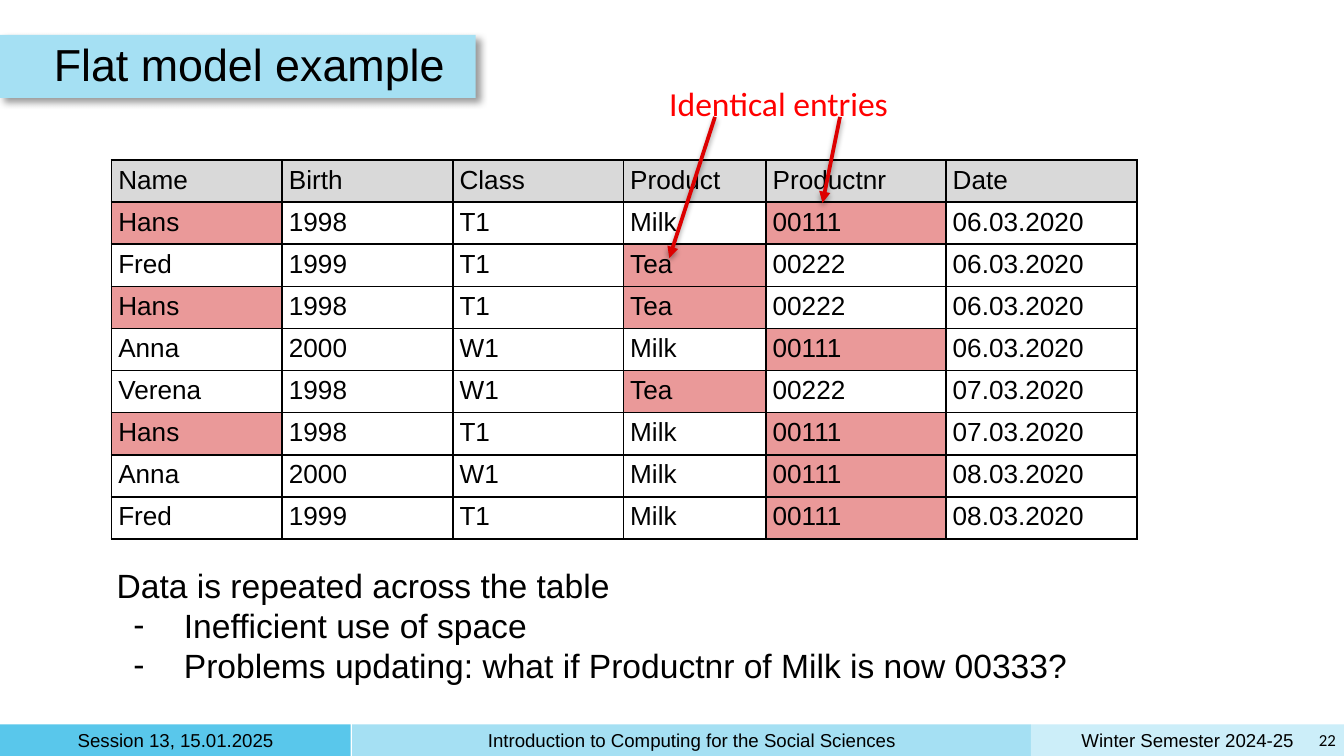
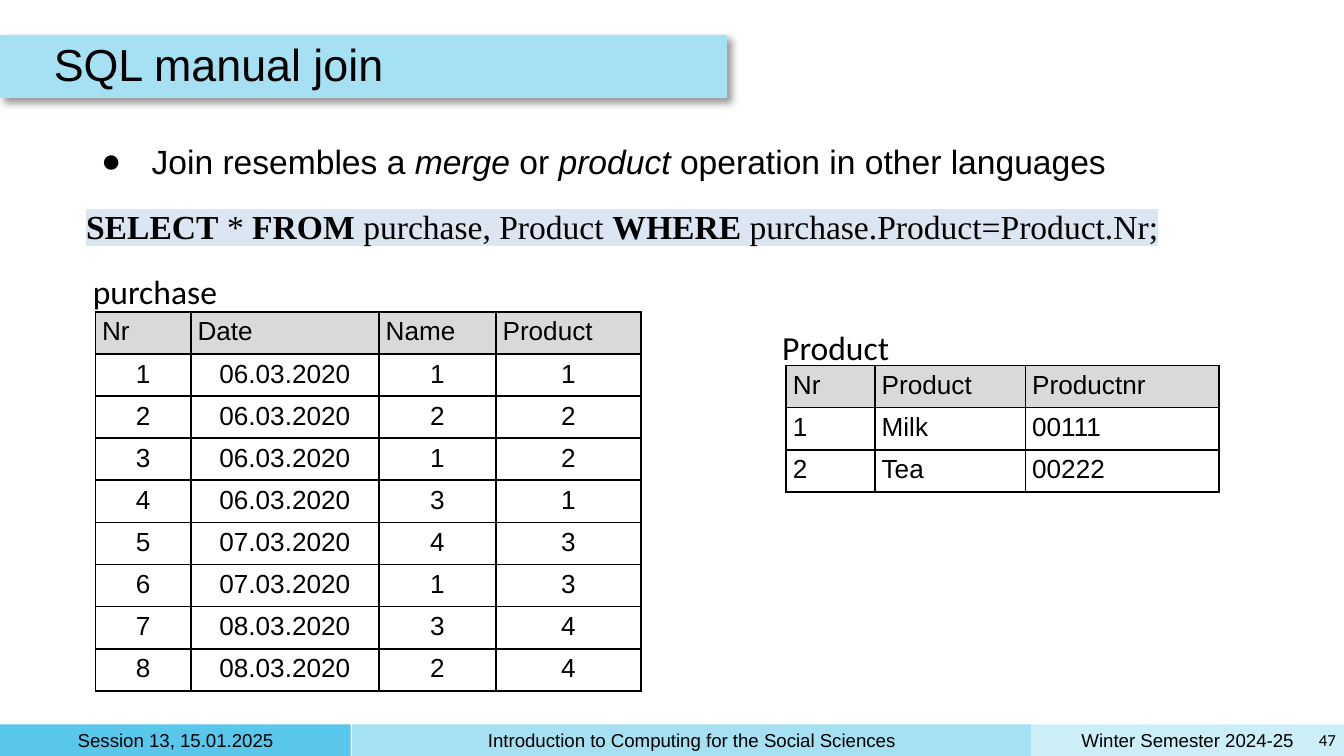
from pptx import Presentation
from pptx.dml.color import RGBColor
from pptx.enum.shapes import MSO_CONNECTOR, MSO_SHAPE
from pptx.enum.text import MSO_ANCHOR, MSO_AUTO_SIZE, PP_ALIGN
from pptx.oxml import parse_xml
from pptx.oxml.ns import nsdecls, qn
from pptx.util import Inches, Pt

RECTANGLE = MSO_SHAPE.RECTANGLE
STRAIGHT = MSO_CONNECTOR.STRAIGHT
TOP, MIDDLE = MSO_ANCHOR.TOP, MSO_ANCHOR.MIDDLE
LEFT, CENTER, RIGHT = PP_ALIGN.LEFT, PP_ALIGN.CENTER, PP_ALIGN.RIGHT
NO_AUTOFIT = MSO_AUTO_SIZE.NONE

BLACK = RGBColor(0x00, 0x00, 0x00)
WHITE = RGBColor(0xFF, 0xFF, 0xFF)
DEEP_BLUE = RGBColor(0x59, 0xC7, 0xEB)
SKY_BLUE = RGBColor(0xA5, 0xE0, 0xF3)
PALE_BLUE = RGBColor(0xCC, 0xEE, 0xF9)
CODE_BLUE = RGBColor(0xDC, 0xE6, 0xF2)
HEADER_GRAY = RGBColor(0xD9, 0xD9, 0xD9)
REPEAT_PINK = RGBColor(0xEA, 0x99, 0x99)
NOTE_RED = RGBColor(0xFF, 0x00, 0x00)
ARROW_RED = RGBColor(0xDD, 0x00, 0x00)

SHADOW = (
    f'<a:effectLst {nsdecls("a")}><a:outerShdw blurRad="{{}}" dist="{{}}" dir="{{}}" '
    'algn="tl" rotWithShape="0"><a:srgbClr val="000000"><a:alpha val="{}"/>'
    "</a:srgbClr></a:outerShdw></a:effectLst>"
)
BORDER = (
    f'<a:{{}} {nsdecls("a")} w="12700"><a:solidFill><a:srgbClr val="{BLACK}"/>'
    "</a:solidFill></a:{}>"
)

deck = Presentation()
deck.slide_width = Inches(10)
deck.slide_height = Inches(5.625)
CELL = deck.slide_width / 100  # side of one square of the layout grid


def grid(*cells):
    return [round(count * CELL) for count in cells]


def add_text(page, at, lines, size, font="Arial", color=BLACK, align=LEFT,
             anchor=TOP, inset=0.5, emphasis=None):
    """Add a text box; every second part between bars takes the emphasis."""
    box = page.shapes.add_textbox(*grid(*at))
    frame = box.text_frame
    frame.word_wrap = True
    frame.vertical_anchor = anchor
    (frame.margin_left, frame.margin_top,
     frame.margin_right, frame.margin_bottom) = grid(*[inset] * 4)
    for number, line in enumerate(lines):
        para = frame.add_paragraph() if number else frame.paragraphs[0]
        para.alignment = align
        for index, words in enumerate(line.split("|")):
            if not words:
                continue
            span = para.add_run()
            span.text = words
            span.font.size = Pt(size)
            span.font.name = font
            span.font.color.rgb = color
            if emphasis:
                setattr(span.font, emphasis, index % 2 == 1)
    return box


# Title bands and footers
FOOTER_TOP, FOOTER_HEIGHT = 53.9, 2.4
FOOTERS = [
    (0, 26.1, DEEP_BLUE, "Session 13, 15.01.2025"),
    (26.2, 50.5, SKY_BLUE, "Introduction to Computing for the Social Sciences"),
    (76.7, 23.3, PALE_BLUE, "Winter Semester 2024-25"),
]
pages = []
for heading, band_width, page_number in [
    ("Flat model example", 35.4, "22"),
    ("SQL manual join", 54.1, "47"),
]:
    page = deck.slides.add_slide(deck.slide_layouts[5])
    pages.append(page)
    for left, width, color, words in FOOTERS:
        band = page.shapes.add_shape(
            RECTANGLE, *grid(left, FOOTER_TOP, width, FOOTER_HEIGHT))
        band.shadow.inherit = False
        band.fill.solid()
        band.fill.fore_color.rgb = color
        band.line.fill.background()
        add_text(page, (left + 0.5, FOOTER_TOP + 0.2, width - 1, 1.9), [words], 10,
                 align=CENTER, anchor=MIDDLE)
    add_text(page, (97.5, 53.8, 2.4, 2.5), [page_number], 9, "Calibri",
             align=RIGHT, anchor=MIDDLE)

    title = page.shapes.title
    title.left, title.top, title.width, title.height = grid(3.5, 2.6, 86, 4.7)
    frame = title.text_frame
    frame.text = heading
    frame.auto_size = NO_AUTOFIT
    frame.vertical_anchor = MIDDLE
    (frame.margin_left, frame.margin_top,
     frame.margin_right, frame.margin_bottom) = grid(*[0.5] * 4)
    para = frame.paragraphs[0]
    para.alignment = LEFT
    para.line_spacing = 0.9
    font = para.runs[0].font
    font.size, font.name, font.color.rgb = Pt(24), "Arial", BLACK

    band = page.shapes.add_shape(RECTANGLE, *grid(0, 2.6, band_width, 4.7))
    band.fill.solid()
    band.fill.fore_color.rgb = SKY_BLUE
    band.line.fill.background()
    band.element.spPr.append(
        parse_xml(SHADOW.format(Pt(4), Pt(3), 45 * 60000, 40000)))
    title.element.addprevious(band.element)

flat_page, join_page = pages

# Tables
FLAT_MODEL = [
    ("Name", "Birth", "Class", "Product", "Productnr", "Date"),
    ("Hans", "1998", "T1", "Milk", "00111", "06.03.2020"),
    ("Fred", "1999", "T1", "Tea", "00222", "06.03.2020"),
    ("Hans", "1998", "T1", "Tea", "00222", "06.03.2020"),
    ("Anna", "2000", "W1", "Milk", "00111", "06.03.2020"),
    ("Verena", "1998", "W1", "Tea", "00222", "07.03.2020"),
    ("Hans", "1998", "T1", "Milk", "00111", "07.03.2020"),
    ("Anna", "2000", "W1", "Milk", "00111", "08.03.2020"),
    ("Fred", "1999", "T1", "Milk", "00111", "08.03.2020"),
]
PRODUCT = [
    ("Nr", "Product", "Productnr"),
    ("1", "Milk", "00111"),
    ("2", "Tea", "00222"),
]
PURCHASE = [
    ("Nr", "Date", "Name", "Product"),
    ("1", "06.03.2020", "1", "1"),
    ("2", "06.03.2020", "2", "2"),
    ("3", "06.03.2020", "1", "2"),
    ("4", "06.03.2020", "3", "1"),
    ("5", "07.03.2020", "4", "3"),
    ("6", "07.03.2020", "1", "3"),
    ("7", "08.03.2020", "3", "4"),
    ("8", "08.03.2020", "2", "4"),
]
ROW_HEIGHT = 3
for page, left, top, widths, records, align, repeated in [
    (flat_page, 8.3, 11.9, (12.7, 12.7, 12.7, 10.6, 13.4, 14.2), FLAT_MODEL, LEFT,
     {"Hans", "Tea", "00111"}),
    (join_page, 58.5, 27.2, (6.6, 11.2, 14.4), PRODUCT, LEFT, set()),
    (join_page, 7.1, 23.2, (7.1, 14, 8.7, 10.8), PURCHASE, CENTER, set()),
]:
    holder = page.shapes.add_table(
        len(records), len(widths),
        *grid(left, top, sum(widths), ROW_HEIGHT * len(records)))
    table = holder.table
    table.first_row = table.horz_banding = False
    for column, width in zip(table.columns, grid(*widths)):
        column.width = width
    for row, record in enumerate(records):
        for column, value in enumerate(record):
            cell = table.cell(row, column)
            cell.margin_left, cell.margin_right = grid(0.5, 0.5)
            cell.margin_top, cell.margin_bottom = grid(0.4, 0.4)
            cell.fill.solid()
            cell.fill.fore_color.rgb = (
                HEADER_GRAY if row == 0
                else REPEAT_PINK if value in repeated else WHITE)
            para = cell.text_frame.paragraphs[0]
            para.text = value
            para.alignment = align if row else LEFT
            font = para.runs[0].font
            font.size, font.name, font.color.rgb = Pt(14), "Arial", BLACK
    for properties in holder.element.iter(qn("a:tcPr")):
        for index, side in enumerate(("lnL", "lnR", "lnT", "lnB")):
            properties.insert(index, parse_xml(BORDER.format(side, side)))

# Flat model: note with arrows, and conclusions
add_text(flat_page, (49.3, 5.7, 17.4, 4), ["Identical entries"], 18, "Calibri", NOTE_RED)
for ends in [(53.2, 8.7, 49.8, 19.2), (62.5, 8.7, 61.2, 15.1)]:
    arrow = flat_page.shapes.add_connector(STRAIGHT, *grid(*ends))
    arrow.line.color.rgb = ARROW_RED
    arrow.line.width = Pt(2)
    properties = arrow.element.spPr
    properties.get_or_add_ln().append(
        parse_xml(f'<a:tailEnd {nsdecls("a")} type="triangle"/>'))
    properties.append(
        parse_xml(SHADOW.format(Pt(3), Pt(1.6), 90 * 60000, 38000)))
conclusions = add_text(flat_page, (7.7, 41, 84.7, 11.1), [
    "Data is repeated across the table",
    "Inefficient use of space",
    "Problems updating: what if Productnr of Milk is now 00333?",
], 18, inset=1)

# Manual join: statement, table names and remark
statement = add_text(
    join_page, (5.9, 14.8, 91.9, 4),
    ["|SELECT| * |FROM| purchase, Product |WHERE| purchase.Product=Product.Nr;"],
    18, "Times New Roman", emphasis="bold")
for latin in statement.element.iter(qn("a:latin")):
    latin.addprevious(parse_xml(
        f'<a:highlight {nsdecls("a")}><a:srgbClr val="{CODE_BLUE}"/></a:highlight>'))
add_text(join_page, (6.4, 19.7, 14.1, 4), ["purchase"], 18, "Calibri")
add_text(join_page, (57.7, 23.8, 15, 4), ["Product"], 18, "Calibri")
remark = add_text(
    join_page, (5.3, 9.5, 88.6, 5),
    ["Join resembles a |merge| or |product| operation in other languages"],
    18, inset=1, emphasis="italic")

# Bullets
for box, first, mark in [(conclusions, 1, "-"), (remark, 0, "●")]:
    for para in list(box.element.iter(qn("a:p")))[first:]:
        properties = para.get_or_add_pPr()
        margin, indent = grid(5, -3.75)
        properties.set("marL", str(margin))
        properties.set("indent", str(indent))
        for bullet in (
            f'<a:buClr {nsdecls("a")}><a:srgbClr val="{BLACK}"/></a:buClr>',
            f'<a:buFont {nsdecls("a")} typeface="Arial"/>',
            f'<a:buChar {nsdecls("a")} char="{mark}"/>',
        ):
            properties.append(parse_xml(bullet))

deck.save("out.pptx")
